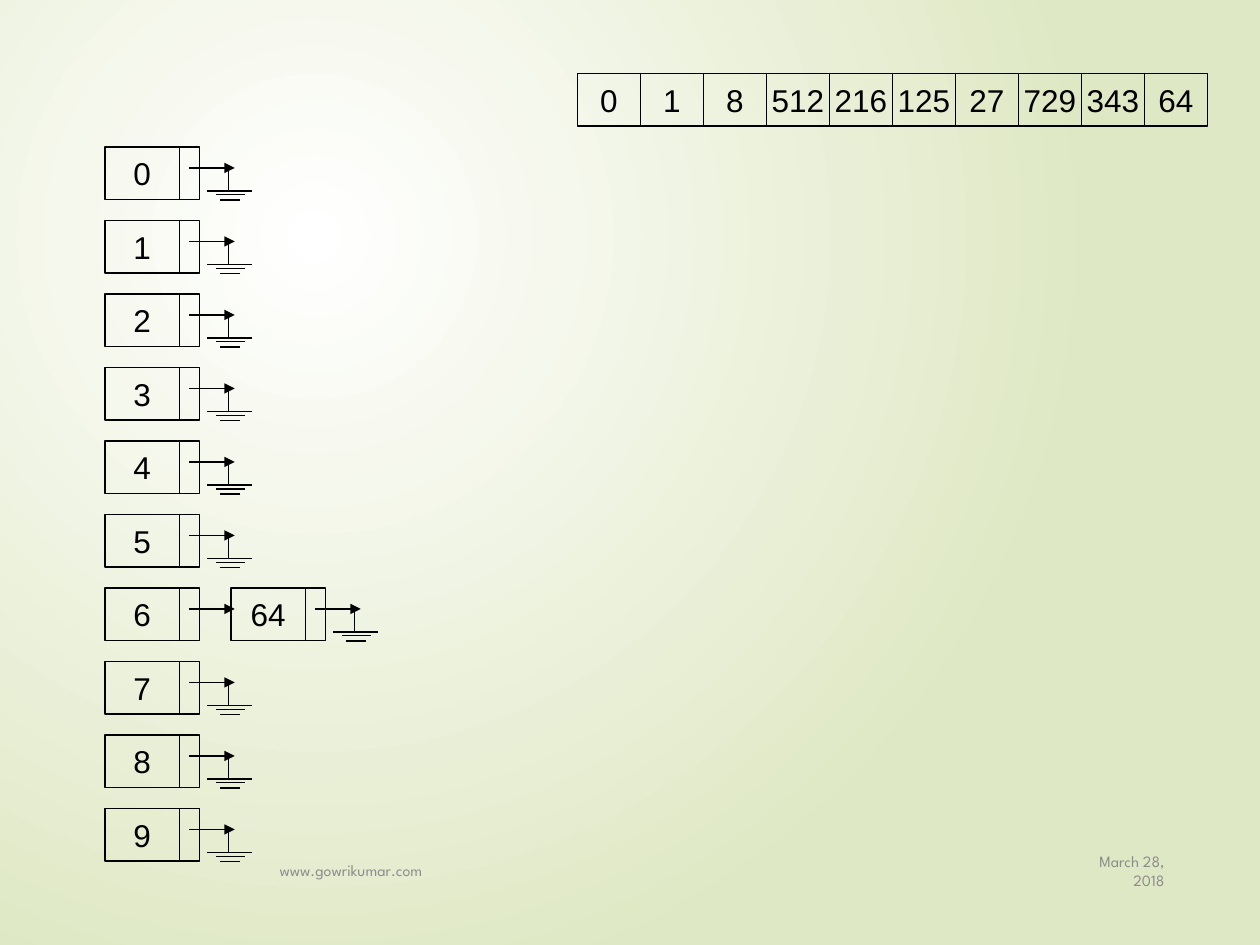
"""Build the radix sort slide with its bucket lists."""
from pptx import Presentation
from pptx.dml.color import RGBColor
from pptx.enum.shapes import MSO_CONNECTOR as Link, MSO_SHAPE as Shape
from pptx.enum.text import MSO_ANCHOR as Anchor, PP_ALIGN as Align
from pptx.oxml import parse_xml
from pptx.oxml.ns import nsdecls
from pptx.util import Inches, Pt

BLACK = RGBColor(0x00, 0x00, 0x00)
GREY = RGBColor(0x8C, 0x8C, 0x8C)
WHITE = RGBColor(0xFF, 0xFF, 0xFF)
GREEN = RGBColor(0xDF, 0xE8, 0xC4)

UNIT = 1 / 12
HIGH = 5 * UNIT
KEY, LINK = 0.59, 0.16
LEFT, TOP, STEP = 10 * UNIT, 14 * UNIT, 7 * UNIT
ROW_X, ROW_Y, CELL = 55 * UNIT, 7 * UNIT, 6 * UNIT
DATA = [0, 1, 8, 512, 216, 125, 27, 729, 343, 64]
LISTS = {6: [64]}
GROUND = [(0.81, 1.17, 0.35), (0.88, 1.11, 0.38), (0.91, 1.07, 0.42)]


def paint(slide):
    """Fill the background with a round gradient."""
    slide.element.cSld.insert(0, parse_xml(
        f'<p:bg {nsdecls("p", "a")}><p:bgPr><a:gradFill><a:gsLst>'
        f'<a:gs pos="0"><a:srgbClr val="{WHITE}"/></a:gs>'
        f'<a:gs pos="100000"><a:srgbClr val="{GREEN}"/></a:gs></a:gsLst>'
        '<a:path path="circle"><a:fillToRect l="50000" t="50000" '
        'r="100000" b="100000"/></a:path></a:gradFill>'
        '<a:effectLst/></p:bgPr></p:bg>'))


def write(shape, text, font, size, color, align):
    """Set the text of a shape and format it."""
    frame = shape.text_frame
    frame.text = text
    frame.vertical_anchor = Anchor.MIDDLE
    para = frame.paragraphs[0]
    para.alignment = align
    style = para.runs[0].font
    style.name, style.size = font, Pt(size)
    style.color.rgb = color


def box(shapes, x, y, wide, value=None):
    """Draw an outlined cell, with a value if one is given."""
    cell = shapes.add_shape(Shape.RECTANGLE, Inches(x), Inches(y),
                            Inches(wide), Inches(HIGH))
    cell.shadow.inherit = False
    cell.fill.background()
    cell.line.color.rgb = BLACK
    cell.line.width = Pt(0.75)
    if value is not None:
        write(cell, str(value), "Arial", 18, BLACK, Align.CENTER)
        cell.text_frame.word_wrap = False


def line(shapes, x1, y1, x2, y2, arrow=False):
    """Draw a thin line, with an arrowhead at its end if asked."""
    wire = shapes.add_connector(Link.STRAIGHT, Inches(x1), Inches(y1),
                                Inches(x2), Inches(y2))
    wire.line.color.rgb = BLACK
    wire.line.width = Pt(0.75)
    if arrow:
        wire.line._get_or_add_ln().append(
            parse_xml(f'<a:tailEnd {nsdecls("a")} type="triangle"/>'))
    wire._element.spPr.append(parse_xml(f'<a:effectLst {nsdecls("a")}/>'))


def node(slide, x, y, value, last):
    """Draw a list node, grounded if it is the last one."""
    shapes = slide.shapes.add_group_shape().shapes
    box(shapes, x, y, KEY, value)
    box(shapes, x + KEY, y, LINK)
    mid = y + 2 * UNIT
    line(shapes, x + 8 * UNIT, mid, x + 1.03, mid, arrow=True)
    if last:
        for start, end, drop in GROUND:
            line(shapes, x + start, y + drop, x + end, y + drop)
        line(shapes, x + 0.98, y + GROUND[0][2], x + 0.98, mid)


def note(slide, x, wide, text, align):
    """Add a small grey text at the foot of the slide."""
    area = slide.shapes.add_textbox(Inches(x), Inches(6.71),
                                    Inches(wide), Inches(0.4))
    area.text_frame.word_wrap = True
    write(area, text, "League Spartan", 9, GREY, align)


def main():
    """Build and save the slide."""
    deck = Presentation()
    deck.slide_width, deck.slide_height = Inches(10), Inches(7.5)
    slide = deck.slides.add_slide(deck.slide_layouts[6])
    paint(slide)
    note(slide, 8.5, 0.84, "March 28, 2018", Align.RIGHT)
    note(slide, 2.12, 6.25, "www.gowrikumar.com", Align.LEFT)
    for col, value in enumerate(DATA):
        box(slide.shapes, ROW_X + col * CELL, ROW_Y, CELL, value)
    for digit in range(10):
        chain = [digit] + LISTS.get(digit, [])
        for pos, value in enumerate(chain):
            node(slide, LEFT + pos, TOP + digit * STEP, value,
                 pos == len(chain) - 1)
    deck.save("out.pptx")


if __name__ == "__main__":
    main()
